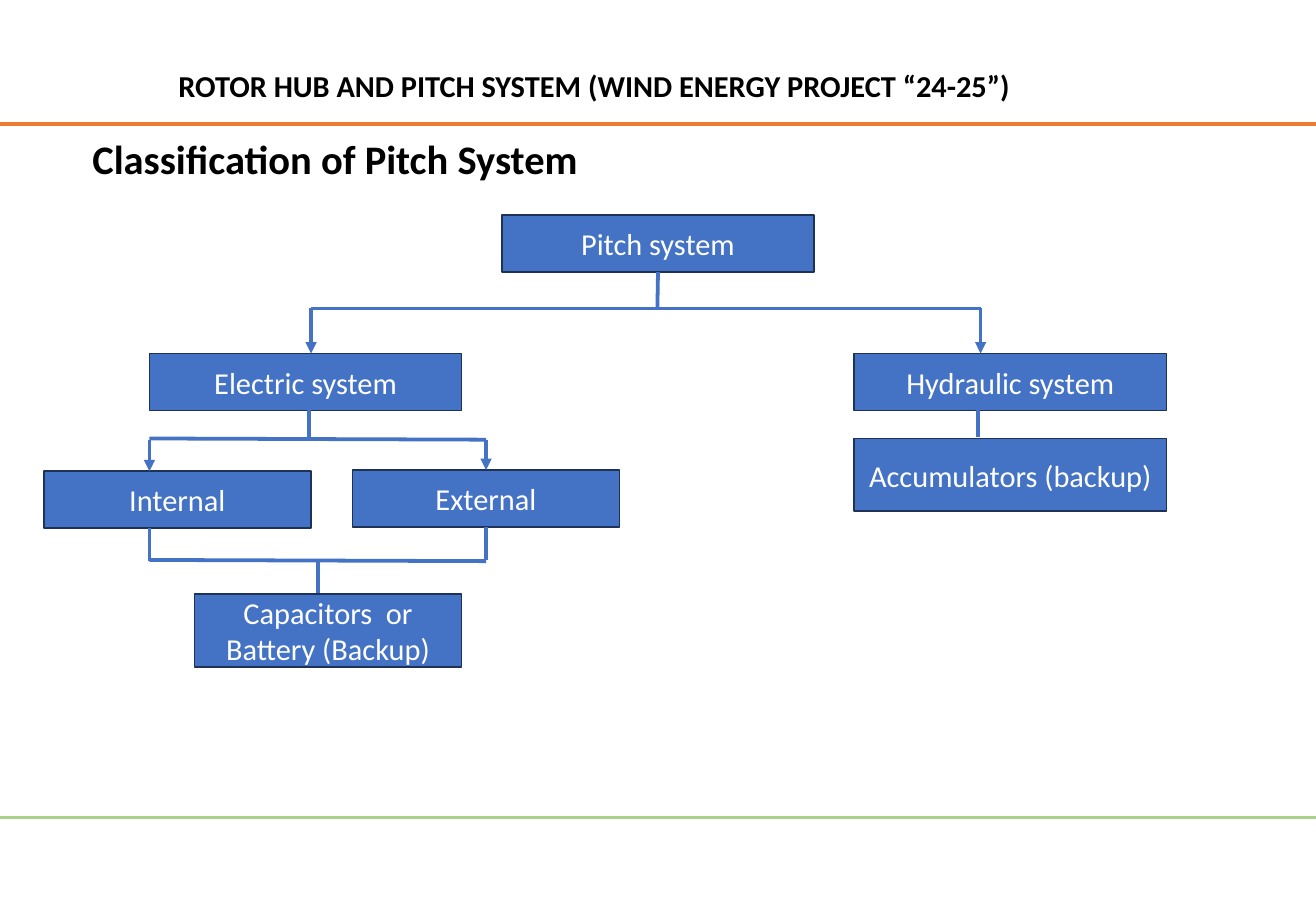
from lxml.etree import SubElement
from pptx import Presentation
from pptx.dml.color import RGBColor
from pptx.enum.shapes import MSO_CONNECTOR, MSO_SHAPE
from pptx.enum.text import MSO_ANCHOR, PP_ALIGN
from pptx.oxml.ns import qn
from pptx.util import Pt

PX = 9144
W, H = 1083, 750
BLUE = RGBColor(0x44, 0x72, 0xC4)
NAVY = RGBColor(0x1E, 0x32, 0x56)
ORANGE = RGBColor(0xED, 0x7D, 0x31)
GREEN = RGBColor(0xA9, 0xD1, 0x8E)
BLACK = RGBColor(0, 0, 0)
WHITE = RGBColor(0xFF, 0xFF, 0xFF)

BOX_W, SUB_W = 257, 220
BOX_H, BACKUP_H = 47, 60
TOP, BOTTOM = 0, 2


def px(*values):
    return [v * PX for v in values]


def set_text(tf, text, size, color, bold=False, align=PP_ALIGN.LEFT, anchor=MSO_ANCHOR.TOP):
    tf.text = text
    tf.word_wrap = True
    tf.vertical_anchor = anchor
    p = tf.paragraphs[0]
    p.alignment = align
    p.font.name = "Calibri"
    p.font.size = Pt(size)
    p.font.bold = bold
    p.font.color.rgb = color


def add_title(s, text, x, y, w, h):
    title = s.shapes.title
    title.left, title.top, title.width, title.height = px(x, y, w, h)
    set_text(title.text_frame, text, 24, BLACK, bold=True)


def add_header(s, text, x, y, w, h):
    sp = s.shapes.add_textbox(*px(x, y, w, h))
    set_text(sp.text_frame, text, 18, BLACK, bold=True)


def add_box(s, text, x, y, w=BOX_W, h=BOX_H):
    sp = s.shapes.add_shape(MSO_SHAPE.RECTANGLE, *px(x, y, w, h))
    sp.shadow.inherit = False
    sp.fill.solid()
    sp.fill.fore_color.rgb = BLUE
    sp.line.color.rgb = NAVY
    sp.line.width = Pt(1)
    set_text(sp.text_frame, text, 18, WHITE, align=PP_ALIGN.CENTER, anchor=MSO_ANCHOR.MIDDLE)
    return sp


def add_line(s, x1, y1, x2, y2, color=BLUE, arrow=False, begin=None, end=None):
    cxn = s.shapes.add_connector(MSO_CONNECTOR.STRAIGHT, *px(x1, y1, x2, y2))
    cxn.line.color.rgb = color
    cxn.line.width = Pt(2.25)
    if arrow:
        SubElement(cxn.line._get_or_add_ln(), qn("a:tailEnd"), type="triangle")
    SubElement(cxn._element.spPr, qn("a:effectLst"))
    if begin:
        cxn.begin_connect(begin, BOTTOM)
    if end:
        cxn.end_connect(end, TOP)


def main():
    prs = Presentation()
    prs.slide_width, prs.slide_height = px(W, H)
    s = prs.slides.add_slide(prs.slide_layouts[5])

    add_line(s, 0, 102, W, 102, ORANGE)
    add_line(s, 0, 673, W, 673, GREEN)
    add_header(s, "ROTOR HUB AND PITCH SYSTEM (WIND ENERGY PROJECT “24-25”)", 137, 50, 764, 40)
    add_title(s, "Classification of Pitch System", 66, 105, 952, 202)

    pitch = add_box(s, "Pitch system", 413, 177)
    add_box(s, "Electric system", 123, 291)
    add_box(s, "Hydraulic system", 703, 291)
    add_box(s, "Internal", 36, 388, SUB_W)
    external = add_box(s, "External", 290, 387, SUB_W)

    add_line(s, 256, 254, 807, 254)
    add_line(s, 541, 224, 541, 254, begin=pitch)
    for x in (256, 807):
        add_line(s, x, 254, x, 291, arrow=True)

    add_line(s, 123, 361, 400, 362)
    add_line(s, 254, 331, 254, 361)
    add_line(s, 123, 362, 123, 388, arrow=True)
    add_line(s, 400, 362, 400, 387, arrow=True, end=external)

    add_line(s, 123, 461, 400, 462)
    add_line(s, 123, 435, 123, 462)
    add_line(s, 400, 434, 400, 461, begin=external)
    add_line(s, 262, 461, 262, 488)
    add_box(s, "Capacitors  or Battery (Backup)", 160, 489, SUB_W, BACKUP_H)

    add_line(s, 805, 333, 805, 360)
    add_box(s, "Accumulators (backup)", 703, 361, BOX_W, BACKUP_H)

    prs.save("out.pptx")


if __name__ == "__main__":
    main()
